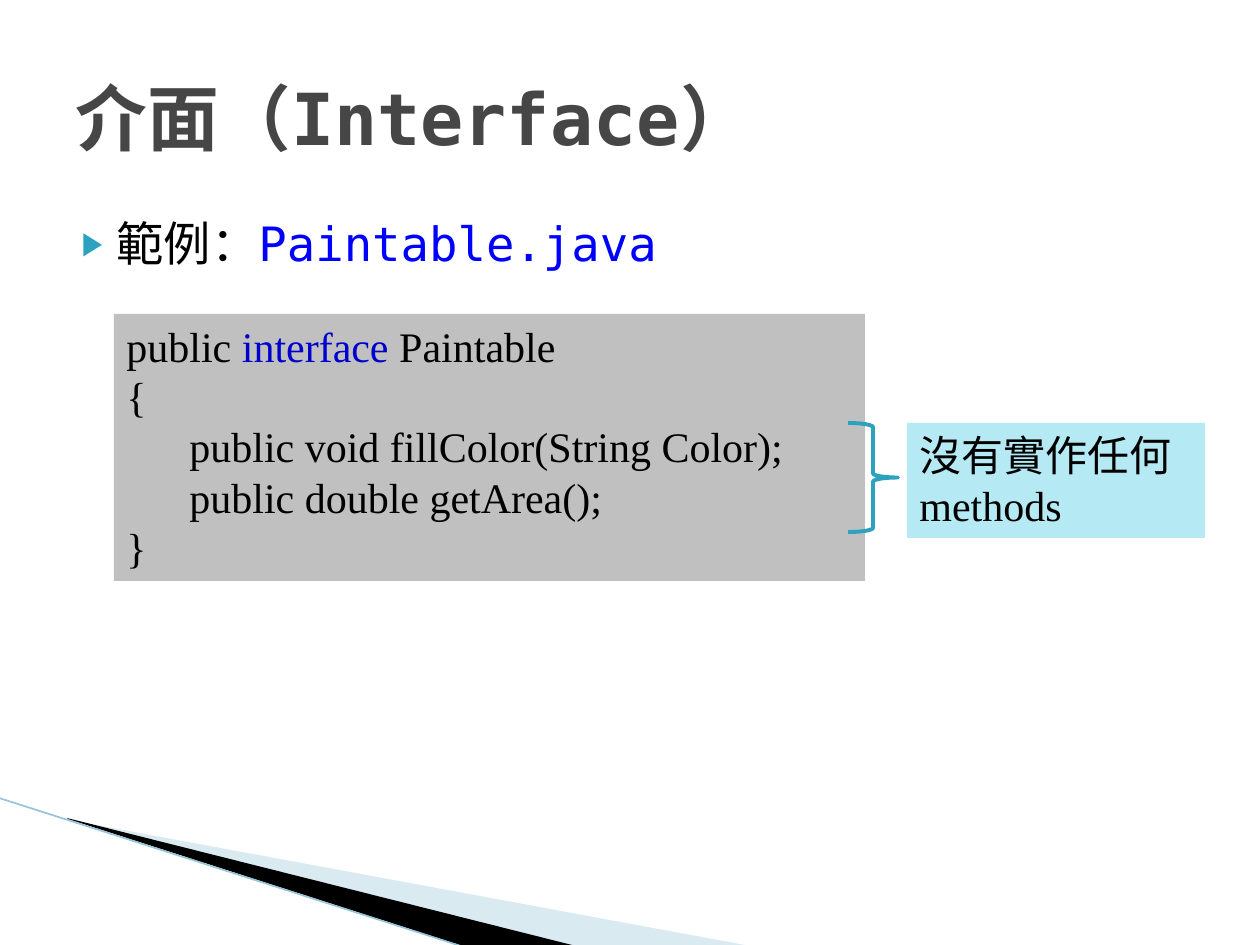
from pptx import Presentation
from pptx import util as u
from pptx.dml.color import RGBColor
from pptx.enum import shapes, text
from pptx.oxml import parse_xml
from pptx.oxml.ns import nsdecls, qn
from lxml import etree

MONO = "DejaVu Sans Mono"
SERIF = "Times New Roman"
BLACK = RGBColor(0x00, 0x00, 0x00)
CHARCOAL = RGBColor(0x46, 0x46, 0x46)
LINK_BLUE = RGBColor(0x00, 0x00, 0xFF)
KEYWORD_BLUE = RGBColor(0x00, 0x00, 0xCC)
TEAL = RGBColor(0x2D, 0xA2, 0xBF)
PALE_TEAL = RGBColor(0xA0, 0xCB, 0xDC)
EDGE_TEAL = RGBColor(0x97, 0xC5, 0xD8)
GREY = RGBColor(0xC0, 0xC0, 0xC0)
AQUA = RGBColor(0xB5, 0xE9, 0xF4)
EMU_PER_PX = 914400 / 126


def px(length):
    return u.Emu(round(length * EMU_PER_PX))


def write(paragraph, content, size=24, font=SERIF, color=BLACK, bold=False):
    for index, line in enumerate(content.split("\n")):
        if index:
            paragraph.add_line_break()
        if line:
            run = paragraph.add_run()
            run.text = line
            run.font.size = u.Pt(size)
            run.font.name = font
            run.font.color.rgb = color
            run.font.bold = bold


class SlideBuilder:
    def __init__(self, slide):
        self.slide = slide
        self.shapes = slide.shapes

    def place(self, placeholder, left, top, width, height):
        placeholder.left, placeholder.top = px(left), px(top)
        placeholder.width, placeholder.height = px(width), px(height)
        self.shapes._spTree.append(placeholder._element)
        frame = placeholder.text_frame
        frame.auto_size = text.MSO_AUTO_SIZE.NONE
        frame.word_wrap = True
        paragraph = frame.paragraphs[0]
        paragraph.alignment = text.PP_ALIGN.LEFT
        paragraph.space_before = u.Pt(0)
        return paragraph

    def title(self, content, *box):
        heading = self.shapes.title
        write(self.place(heading, *box), content, size=41, font=MONO, color=CHARCOAL, bold=True)
        heading.text_frame.vertical_anchor = text.MSO_ANCHOR.MIDDLE

    def bullet(self, parts, *box):
        item = self.place(self.slide.placeholders[1], *box)
        properties = item._p.get_or_add_pPr()
        properties.set("marL", str(px(50)))
        properties.set("indent", str(-px(35)))
        for mark in (
            f'<a:buClr {nsdecls("a")}><a:srgbClr val="{TEAL}"/></a:buClr>',
            f'<a:buSzPct {nsdecls("a")} val="68000"/>',
            f'<a:buChar {nsdecls("a")} char="▶"/>',
        ):
            properties.append(parse_xml(mark))
        item.line_spacing = 0.9
        for content, color in parts:
            write(item, content, size=27, font=MONO, color=color)

    def panel(self, paragraphs, fill, *box, wrap=True):
        panel = self.shapes.add_shape(shapes.MSO_SHAPE.RECTANGLE, *map(px, box))
        panel.shadow.inherit = False
        panel.fill.solid()
        panel.fill.fore_color.rgb = fill
        panel.line.fill.background()
        frame = panel.text_frame
        frame.word_wrap = wrap
        frame.auto_size = text.MSO_AUTO_SIZE.SHAPE_TO_FIT_TEXT
        frame.vertical_anchor = text.MSO_ANCHOR.TOP
        for index, parts in enumerate(paragraphs):
            paragraph = frame.add_paragraph() if index else frame.paragraphs[0]
            paragraph.alignment = text.PP_ALIGN.LEFT
            for content, color in parts:
                write(paragraph, content, color=color)

    def brace(self, *box):
        brace = self.shapes.add_shape(shapes.MSO_SHAPE.LEFT_BRACE, *map(px, box))
        brace.shadow.inherit = False
        brace.rotation = 180
        brace.adjustments[0] = 0.083
        brace.adjustments[1] = 0.5
        brace.fill.background()
        brace.line.color.rgb = TEAL
        brace.line.width = u.Pt(2.25)

    def wedge(self, points, fill, opacity=100):
        outline = self.shapes.build_freeform(*points[0], scale=EMU_PER_PX)
        outline.add_line_segments(points[1:], close=True)
        wedge = outline.convert_to_shape()
        wedge.shadow.inherit = False
        wedge.fill.solid()
        wedge.fill.fore_color.rgb = fill
        wedge.line.fill.background()
        if opacity < 100:
            color = wedge._element.spPr.find(qn("a:solidFill"))[0]
            etree.SubElement(color, qn("a:alpha")).set("val", str(opacity * 1000))

    def line(self, *ends):
        edge = self.shapes.add_connector(shapes.MSO_CONNECTOR.STRAIGHT, *map(px, ends))
        edge.line.color.rgb = EDGE_TEAL
        edge.line.width = u.Pt(0.95)
        etree.SubElement(edge._element.spPr, qn("a:effectLst"))


def main():
    deck = Presentation()
    deck.slide_width, deck.slide_height = px(1260), px(945)
    page = SlideBuilder(deck.slides.add_slide(deck.slide_layouts[1]))

    page.wedge([(69, 820), (750, 946), (575, 946), (69, 819)], PALE_TEAL, opacity=40)
    page.wedge([(67, 818), (576, 946), (469, 948), (68, 819)], BLACK)
    page.line(-1, 798, 467, 948)

    page.bullet([("範例：", BLACK), ("Paintable.java", LINK_BLUE)], 54, 214, 1174, 69)
    page.title("介面（Interface）", 63, 38, 1134, 158)

    code = [
        [("public ", BLACK), ("interface", KEYWORD_BLUE), (" Paintable \n{", BLACK)],
        [("\tpublic void fillColor(String Color);", BLACK)],
        [("\tpublic double getArea();", BLACK)],
        [("}", BLACK)],
    ]
    page.panel(code, GREY, 114, 314, 751, 267, wrap=False)
    page.panel([[("沒有實作任何 methods", BLACK)]], AQUA, 907, 423, 298, 115)
    page.brace(848, 423, 50, 109)

    deck.save("out.pptx")


if __name__ == "__main__":
    main()
